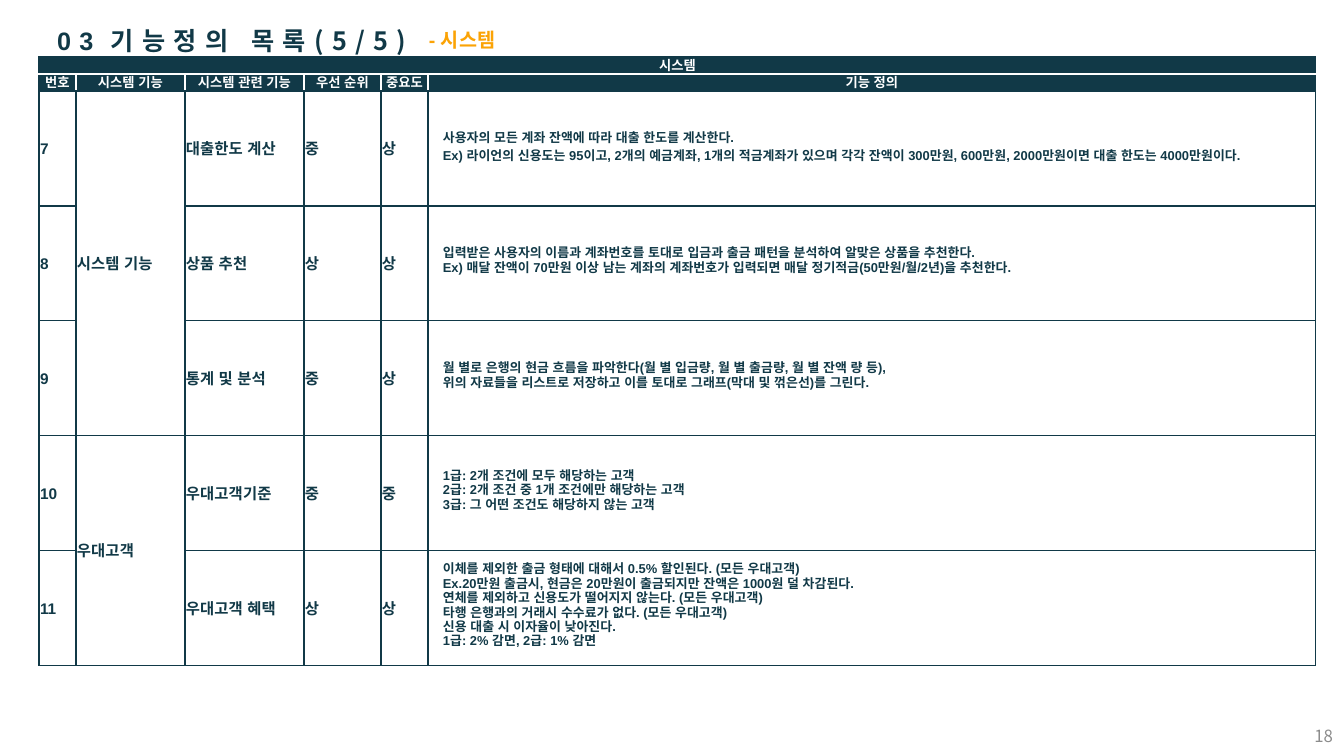
from dataclasses import dataclass

from lxml.etree import SubElement
from pptx import Presentation
from pptx.dml.color import RGBColor
from pptx.enum.text import MSO_ANCHOR as Anchor, PP_ALIGN as Align
from pptx.oxml.ns import qn
from pptx.util import Emu, Pt

SCALE = 12192000 / 1344
NAVY, WHITE, ORANGE, GRAY = "113947", "FFFFFF", "FBA305", "8C8C8C"
LATIN, KOREAN = "Arial", "Noto Sans CJK KR"
COLUMN_WIDTHS = (37, 109, 119, 77, 47, 888)
HEADER_HEIGHT, BODY_HEIGHT = 17, 115
HEADINGS = ("번호", "시스템 기능", "시스템 관련 기능", "우선 순위", "중요도", "기능 정의")


@dataclass(frozen=True)
class Style:
    size: float
    color: str
    font: str = LATIN
    bold: bool = True
    spacing: int = 0


@dataclass(frozen=True)
class Feature:
    number: str
    name: str
    priority: str
    importance: str
    definition: tuple[str, ...]
    line_spacing: float = 1.0


@dataclass(frozen=True)
class Group:
    name: str
    features: tuple[Feature, ...]


GROUPS = (
    Group("시스템 기능", (
        Feature("7", "대출한도 계산", "중", "상", (
            "사용자의 모든 계좌 잔액에 따라 대출 한도를 계산한다.",
            "Ex) 라이언의 신용도는 95이고, 2개의 예금계좌, 1개의 적금계좌가 있으며 각각 잔액이 "
            "300만원, 600만원, 2000만원이면 대출 한도는 4000만원이다.",
        ), 1.25),
        Feature("8", "상품 추천", "상", "상", (
            "입력받은 사용자의 이름과 계좌번호를 토대로 입금과 출금 패턴을 분석하여 알맞은 상품을 추천한다.",
            "Ex) 매달 잔액이 70만원 이상 남는 계좌의 계좌번호가 입력되면 매달 정기적금(50만원/월/2년)을 추천한다.",
        )),
        Feature("9", "통계 및 분석", "중", "상", (
            "월 별로 은행의 현금 흐름을 파악한다(월 별 입금량, 월 별 출금량, 월 별 잔액 량 등),",
            "위의 자료들을 리스트로 저장하고 이를 토대로 그래프(막대 및 꺾은선)를 그린다.",
        )),
    )),
    Group("우대고객", (
        Feature("10", "우대고객기준", "중", "중", (
            "1급: 2개 조건에 모두 해당하는 고객",
            "2급: 2개 조건 중 1개 조건에만 해당하는 고객",
            "3급: 그 어떤 조건도 해당하지 않는 고객",
        )),
        Feature("11", "우대고객 혜택", "상", "상", (
            "이체를 제외한 출금 형태에 대해서 0.5% 할인된다. (모든 우대고객)",
            "Ex.20만원 출금시, 현금은 20만원이 출금되지만 잔액은 1000원 덜 차감된다.",
            "연체를 제외하고 신용도가 떨어지지 않는다. (모든 우대고객)",
            "타행 은행과의 거래시 수수료가 없다. (모든 우대고객)",
            "신용 대출 시 이자율이 낮아진다.",
            "1급: 2% 감면, 2급: 1% 감면",
        )),
    )),
)
HEADING_STYLE = Style(9.5, WHITE)
LABEL_STYLE = Style(11, NAVY)
DEFINITION_STYLE = Style(9.2, NAVY)


def px(length: int) -> Emu:
    return Emu(round(length * SCALE))


def rgb(color: str) -> RGBColor:
    return RGBColor.from_string(color)


def add_run(para, text: str, style: Style) -> None:
    run = para.add_run()
    run.text = text
    run.font.size = Pt(style.size)
    run.font.bold = style.bold
    run.font.name = style.font
    run.font.color.rgb = rgb(style.color)
    properties = run.font._element
    SubElement(properties, qn("a:ea")).set("typeface", style.font)
    if style.spacing:
        properties.set("spc", str(style.spacing * 100))


def set_box(box, left: int, top: int, width: int, height: int, anchor=Anchor.TOP):
    box.left, box.top, box.width, box.height = map(px, (left, top, width, height))
    frame = box.text_frame
    frame.word_wrap = False
    frame.vertical_anchor = anchor
    return frame.paragraphs[0]


def set_borders(cell, left: str, right: str, top: str, bottom: str) -> None:
    properties = cell._tc.get_or_add_tcPr()
    sides = {"L": left, "R": right, "T": top, "B": bottom}
    for index, (side, color) in enumerate(sides.items()):
        line = SubElement(properties, qn(f"a:ln{side}"), w=str(Pt(1)))
        fill = SubElement(line, qn("a:solidFill"))
        SubElement(fill, qn("a:srgbClr"), val=color)
        properties.insert(index, line)


def fill_cell(cell, lines: tuple[str, ...], style: Style, align=Align.LEFT,
              spacing: float = 1.0, margins: tuple[int, ...] = (1, 1, 1, 0)) -> None:
    cell.vertical_anchor = Anchor.MIDDLE
    cell.margin_left, cell.margin_top, cell.margin_right, cell.margin_bottom = map(px, margins)
    frame = cell.text_frame
    for index, line in enumerate(lines):
        para = frame.add_paragraph() if index else frame.paragraphs[0]
        para.alignment = align
        para.line_spacing = spacing
        add_run(para, line, style)


def add_header(table) -> None:
    last = len(HEADINGS) - 1
    banner = table.cell(0, 0)
    banner.merge(table.cell(0, last))
    fill_cell(banner, ("시스템",), HEADING_STYLE, Align.CENTER)
    banner.fill.solid()
    banner.fill.fore_color.rgb = rgb(NAVY)
    set_borders(banner, NAVY, NAVY, NAVY, WHITE)
    for column, heading in enumerate(HEADINGS):
        cell = table.cell(1, column)
        fill_cell(cell, (heading,), HEADING_STYLE, Align.CENTER)
        cell.fill.gradient()
        cell.fill.gradient_angle = 270
        for stop, color in zip(cell.fill.gradient_stops, (NAVY, WHITE)):
            stop.position = 0.93
            stop.color.rgb = rgb(color)
        set_borders(cell, WHITE if column else NAVY,
                    WHITE if column < last else NAVY, WHITE, NAVY)


def add_group(table, first_row: int, group: Group) -> int:
    end_row = first_row + len(group.features)
    group_cell = table.cell(first_row, 1)
    group_cell.merge(table.cell(end_row - 1, 1))
    fill_cell(group_cell, (group.name,), LABEL_STYLE)
    for row, feature in enumerate(group.features, first_row):
        labels = {0: feature.number, 2: feature.name,
                  3: feature.priority, 4: feature.importance}
        for column, label in labels.items():
            fill_cell(table.cell(row, column), (label,), LABEL_STYLE)
        fill_cell(table.cell(row, 5), feature.definition, DEFINITION_STYLE,
                  spacing=feature.line_spacing, margins=(15, 0, 15, 6))
        for column in range(len(HEADINGS)):
            cell = table.cell(row, column)
            if not cell.is_spanned:
                cell.fill.background()
                set_borders(cell, NAVY, NAVY, NAVY, NAVY)
    return end_row


def add_feature_table(page) -> None:
    heights = [HEADER_HEIGHT] * 2 + [BODY_HEIGHT] * sum(len(group.features) for group in GROUPS)
    table = page.shapes.add_table(
        len(heights), len(COLUMN_WIDTHS), px(39), px(57),
        px(sum(COLUMN_WIDTHS)), px(sum(heights))).table
    table.first_row = table.horz_banding = False
    for column, width in zip(table.columns, COLUMN_WIDTHS):
        column.width = px(width)
    for row, height in zip(table.rows, heights):
        row.height = px(height)
    add_header(table)
    next_row = 2
    for group in GROUPS:
        next_row = add_group(table, next_row, group)


def main() -> None:
    deck = Presentation()
    deck.slide_width, deck.slide_height = px(1344), px(756)
    page = deck.slides.add_slide(deck.slide_layouts[5])
    title = set_box(page.shapes.title, 47, 20, 390, 40)
    title.alignment = Align.LEFT
    add_run(title, "03", Style(18, NAVY, spacing=6))
    add_run(title, " ", Style(1, NAVY, KOREAN, spacing=6))
    add_run(title, "기능정의 목록(5/5)", Style(18, NAVY, KOREAN, spacing=6))
    subtitle = set_box(page.shapes.add_textbox(0, 0, 0, 0), 419, 23, 222, 34)
    add_run(subtitle, "- 시스템", Style(14, ORANGE))
    add_feature_table(page)
    number = set_box(page.shapes.add_textbox(0, 0, 0, 0), 1041, 716, 302, 40, Anchor.MIDDLE)
    number.alignment = Align.RIGHT
    add_run(number, "18", Style(12, GRAY, KOREAN, bold=False))
    deck.save("out.pptx")


if __name__ == "__main__":
    main()
